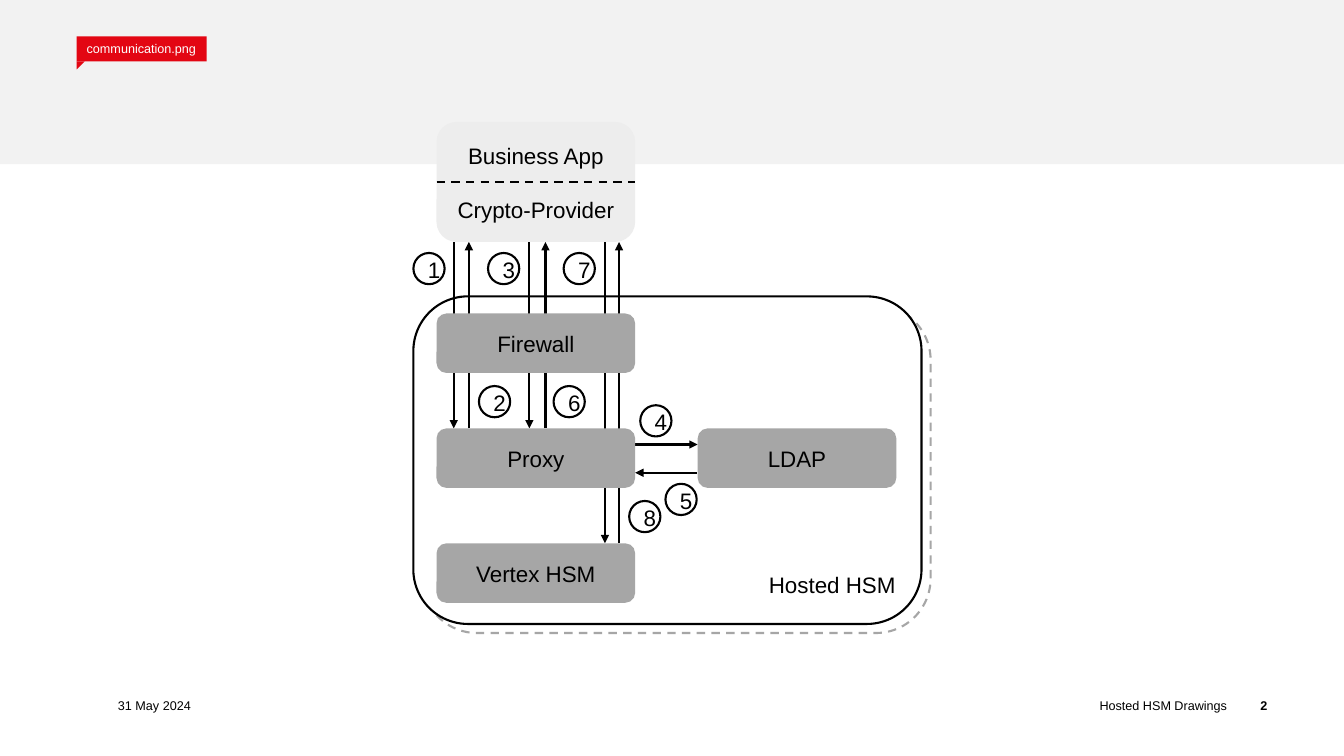
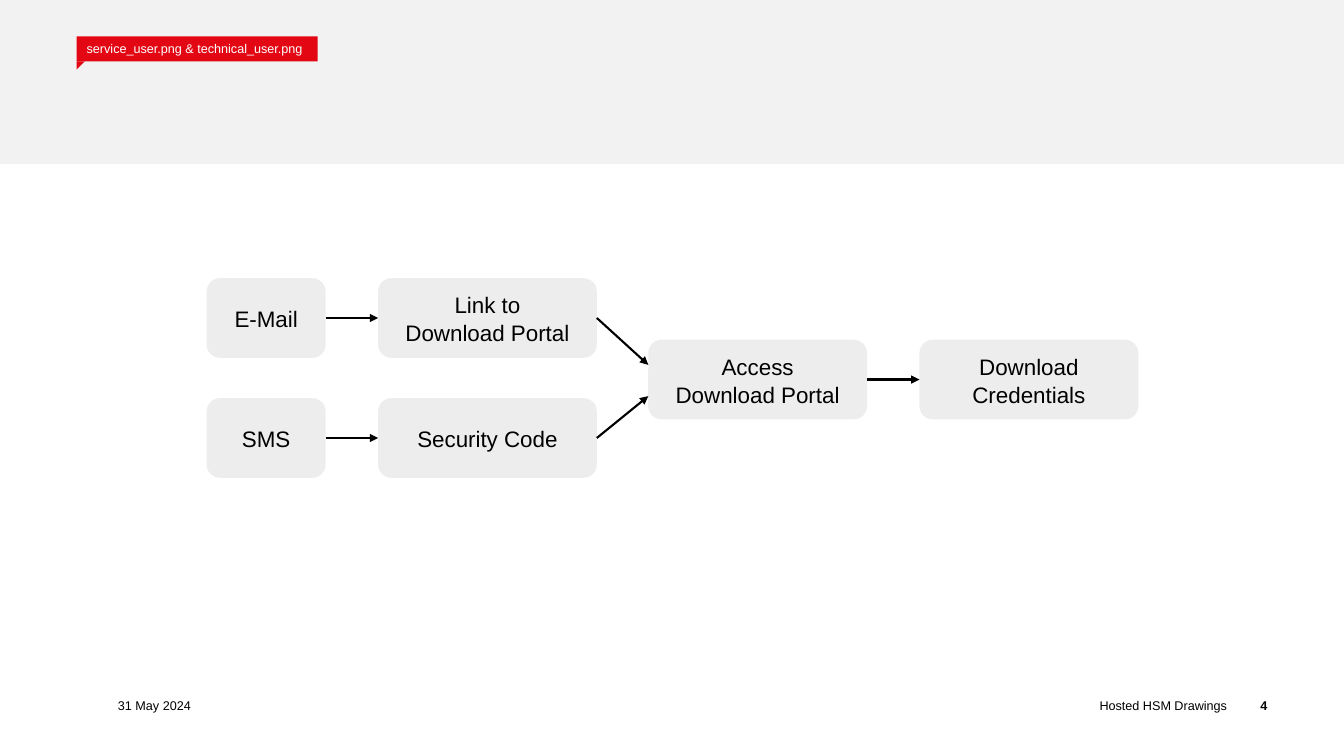
"""Build two drawings of a hosted HSM: its communication and its user access."""
import pptx
import pptx.dml.color
import pptx.enum.dml
import pptx.enum.shapes
import pptx.enum.text
import pptx.oxml
import pptx.oxml.ns
import pptx.util

RGB = pptx.dml.color.RGBColor
BLACK = RGB(0x00, 0x00, 0x00)
WHITE = RGB(0xFF, 0xFF, 0xFF)
RED = RGB(0xE3, 0x06, 0x13)
BAND = RGB(0xF2, 0xF2, 0xF2)
LIGHT = RGB(0xED, 0xED, 0xED)
GREY = RGB(0xA6, 0xA6, 0xA6)

SHAPE = pptx.enum.shapes.MSO_SHAPE
ALIGN = pptx.enum.text.PP_ALIGN
ANCHOR = pptx.enum.text.MSO_ANCHOR
DASH = pptx.enum.dml.MSO_LINE.DASH
TOP, LEFT, BOTTOM, RIGHT = range(4)

SERVICE = "Hosted HSM"


def px(*lengths):
    """Turn px, a hundredth of an inch each, into EMU."""
    return [pptx.util.Emu(length * 9144) for length in lengths]


def assign(target, values):
    """Set each named attribute of the target."""
    for name, value in values.items():
        setattr(target, name, value)


class Drawings:
    """Hold the style and the current slide."""

    def __init__(self):
        """Start an empty deck."""
        self.deck = pptx.Presentation()
        self.deck.slide_width, self.deck.slide_height = px(1333, 750)
        self.layout = self.deck.slide_layouts[2]
        self.slide = None

    def set_text(self, shape, lines, size=16, color=BLACK, bold=False, align=ALIGN.CENTER,
                 anchor=ANCHOR.MIDDLE, insets=(10, 10), wrap=True, spacing=1.05, gap=0):
        """Fill a shape with one paragraph per line."""
        across, down = px(*insets)
        frame = shape.text_frame
        assign(frame, {"margin_left": across, "margin_right": across,
                       "margin_top": down, "margin_bottom": down,
                       "vertical_anchor": anchor, "word_wrap": wrap,
                       "auto_size": pptx.enum.text.MSO_AUTO_SIZE.NONE})
        for index, line in enumerate(lines):
            paragraph = frame.add_paragraph() if index else frame.paragraphs[0]
            assign(paragraph, {"alignment": align, "line_spacing": spacing,
                               "space_before": pptx.util.Pt(gap if index else 0)})
            run = paragraph.add_run()
            run.text = line
            assign(run.font, {"name": "Arial", "size": pptx.util.Pt(size), "bold": bold})
            run.font.color.rgb = color

    def stroke(self, line, color, dashed=False):
        """Draw a line format in the shared width."""
        line.color.rgb = color
        line.width = pptx.util.Pt(1.5)
        if dashed:
            line.dash_style = DASH

    def box(self, kind, at, fill=None, outline=None, dashed=False, lines=(), **text):
        """Add a preset shape with optional text."""
        shape = self.slide.shapes.add_shape(kind, *px(*at))
        shape.shadow.inherit = False
        if fill is None:
            shape.fill.background()
        else:
            shape.fill.solid()
            shape.fill.fore_color.rgb = fill
        if outline is None:
            shape.line.fill.background()
        else:
            self.stroke(shape.line, outline, dashed)
        self.set_text(shape, lines, **text)
        return shape

    def node(self, at, *lines, fill=LIGHT, gap=0):
        """Add a rounded box of the diagram."""
        return self.box(SHAPE.ROUNDED_RECTANGLE, at, fill, lines=lines, gap=gap)

    def step(self, left, top, number):
        """Add a circled step number."""
        self.box(SHAPE.OVAL, (left, top, 31, 31), outline=BLACK, lines=[str(number)])

    def link(self, begin, end, arrow=True, dashed=False):
        """Draw a line between points or (shape, site) joints."""
        joined = [not isinstance(stop[0], int) for stop in (begin, end)]
        points = [(0, 0) if joint else stop for joint, stop in zip(joined, (begin, end))]
        line = self.slide.shapes.add_connector(
            pptx.enum.shapes.MSO_CONNECTOR.STRAIGHT, *px(*points[0], *points[1]))
        if joined[0]:
            line.begin_connect(*begin)
        if joined[1]:
            line.end_connect(*end)
        self.stroke(line.line, BLACK, dashed)
        if arrow:
            head = pptx.oxml.parse_xml(
                f'<a:tailEnd {pptx.oxml.ns.nsdecls("a")} type="triangle" w="med" len="med"/>')
            line.line._get_or_add_ln().append(head)
        line._element.spPr.append(
            pptx.oxml.parse_xml(f'<a:effectLst {pptx.oxml.ns.nsdecls("a")}/>'))

    def label(self, at, words, align=ALIGN.LEFT, bold=False):
        """Add a footer text."""
        footer = self.slide.shapes.add_textbox(*px(*at))
        self.set_text(footer, [words], 9, bold=bold, align=align, insets=(0, 0), spacing=1)

    def decorate_layout(self):
        """Move the band and the tag's notch to the layout."""
        band = self.box(SHAPE.RECTANGLE, (0, 0, 1333, 163), BAND)
        notch = self.box(SHAPE.RIGHT_TRIANGLE, (76, 61, 8, 8), RED)
        notch._element.spPr.xfrm.set("flipV", "1")
        for depth, part in enumerate((band, notch), start=2):
            self.layout.shapes._spTree.insert(depth, part._element)

    def start(self, tag_text, tag_width, number):
        """Open a slide with its tag and footer."""
        first = self.slide is None
        self.slide = self.deck.slides.add_slide(self.layout)
        if first:
            self.decorate_layout()
        heading = self.slide.shapes.title._element
        heading.getparent().remove(heading)
        tag = self.slide.placeholders[1]
        places = zip(("left", "top", "width", "height"), px(76, 36, tag_width, 25))
        assign(tag, dict(places))
        tag.fill.solid()
        tag.fill.fore_color.rgb = RED
        self.set_text(tag, [tag_text], 9, WHITE, align=ALIGN.LEFT, insets=(10, 5),
                      wrap=False, spacing=1)
        self.label((117, 686, 205, 27), "31 May 2024")
        self.label((767, 686, 450, 27), f"{SERVICE} Drawings", ALIGN.RIGHT)
        self.label((1222, 686, 35, 27), str(number), ALIGN.RIGHT, bold=True)


def draw_communication(page):
    """Draw the message steps between app, proxy, directory and HSM."""
    page.start("communication.png", 129, 2)
    page.box(SHAPE.ROUNDED_RECTANGLE, (419, 303, 504, 325), outline=GREY, dashed=True)
    page.box(SHAPE.ROUNDED_RECTANGLE, (410, 294, 504, 325), WHITE, BLACK,
             lines=[SERVICE], align=ALIGN.RIGHT, anchor=ANCHOR.BOTTOM)

    app_bottom, proxy_top, hsm_top = 240, 425, 539
    for down, up, foot in ((450, 465, proxy_top), (525, 541, proxy_top), (600, 614, hsm_top)):
        page.link((down, app_bottom), (down, foot))
        page.link((up, foot), (up, app_bottom))
    page.link((630, 441), (692, 441))
    page.link((691, 469), (630, 469))

    app = page.node((433, 121, 197, 119), "Business App", "Crypto-Provider", gap=19)
    page.link((app, LEFT), (app, RIGHT), arrow=False, dashed=True)
    for left, top, name in ((433, 311, "Firewall"), (433, proxy_top, "Proxy"),
                            (433, hsm_top, "Vertex HSM"), (692, proxy_top, "LDAP")):
        page.node((left, top, 197, 59), name, fill=GREY)

    steps = ((410, 251), (475, 383), (484, 251), (635, 402),
             (660, 480), (549, 383), (559, 251), (624, 497))
    for number, (left, top) in enumerate(steps, start=1):
        page.step(left, top, number)


def draw_user_access(page):
    """Draw how a user reaches the download credentials."""
    page.start("service_user.png & technical_user.png", 239, 4)
    access = page.node((643, 337, 217, 79), "Access", "Download Portal")
    credentials = page.node((912, 337, 217, 79), "Download Credentials")
    routes = ((276, "E-Mail", ("Link to", "Download Portal"), 362),
              (395, "SMS", ("Security Code",), 393))
    for top, channel, content, entry in routes:
        sender = page.node((205, top, 118, 79), channel)
        message = page.node((375, top, 217, 79), *content)
        page.link((sender, RIGHT), (message, LEFT))
        page.link((message, RIGHT), (643, entry))
    page.link((access, RIGHT), (credentials, LEFT))


def main():
    """Build and save the deck."""
    page = Drawings()
    draw_communication(page)
    draw_user_access(page)
    page.deck.save("out.pptx")


if __name__ == "__main__":
    main()
